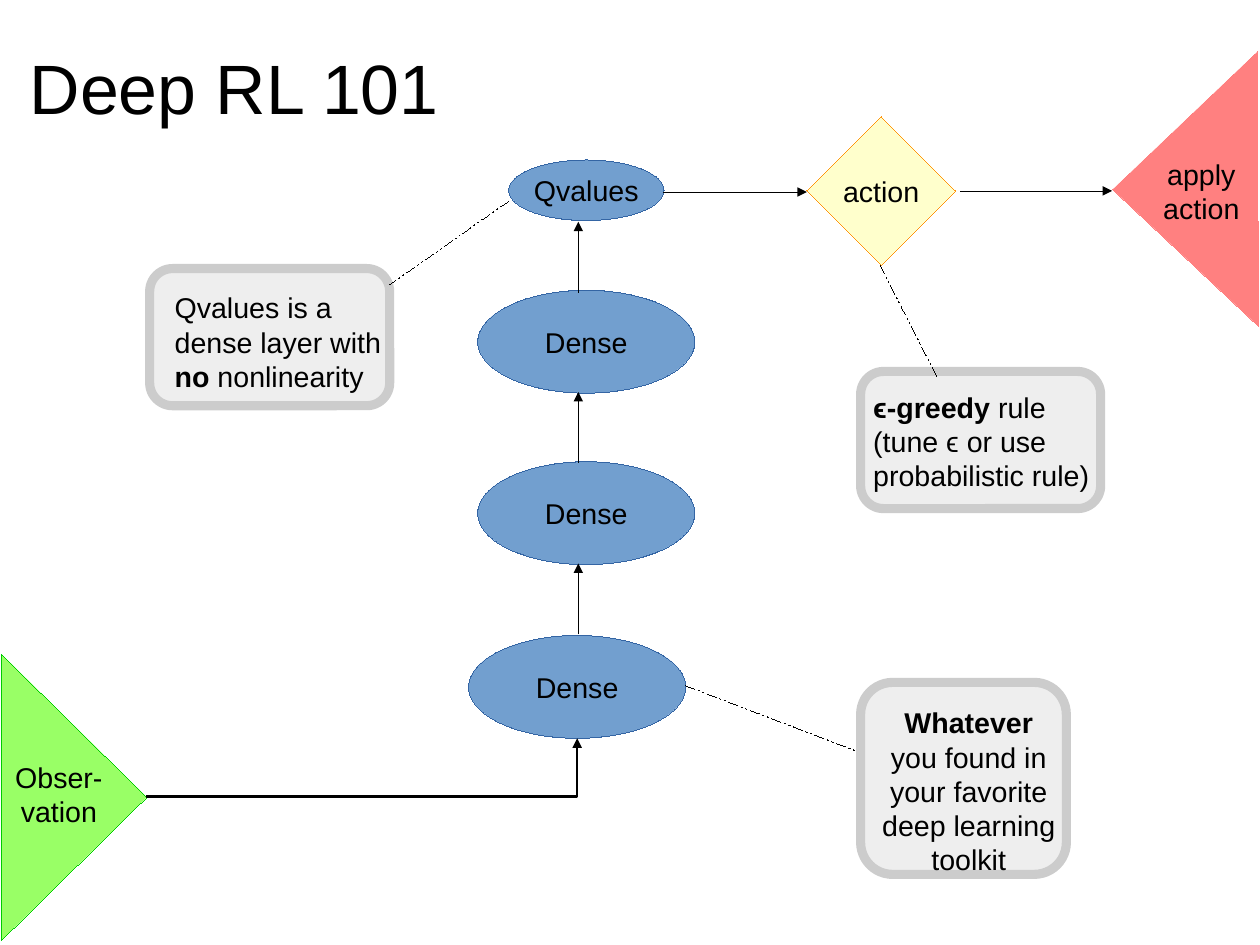
"""Build the Deep RL 101 slide: a network from observation to action."""
from lxml import etree
from pptx import Presentation
from pptx.dml.color import RGBColor
from pptx.enum.dml import MSO_LINE
from pptx.enum.shapes import MSO_CONNECTOR, MSO_SHAPE
from pptx.enum.text import MSO_ANCHOR, MSO_AUTO_SIZE, PP_ALIGN
from pptx.oxml.ns import qn
from pptx.util import Cm, Emu, Pt

PX = 9144
HAIRLINE = 0.01
FONT = "Arial"
BLACK = RGBColor(0x00, 0x00, 0x00)
BLUE, BLUE_EDGE = RGBColor(0x72, 0x9F, 0xCF), RGBColor(0x34, 0x65, 0xA4)
GREEN, GREEN_EDGE = RGBColor(0x99, 0xFF, 0x66), RGBColor(0x00, 0xCC, 0x00)
YELLOW, ORANGE = RGBColor(0xFF, 0xFF, 0xCC), RGBColor(0xFF, 0x95, 0x0E)
RED = RGBColor(0xFF, 0x80, 0x80)
PALE_GREY, GREY = RGBColor(0xEE, 0xEE, 0xEE), RGBColor(0xCC, 0xCC, 0xCC)

ELLIPSE, DIAMOND = MSO_SHAPE.OVAL, MSO_SHAPE.DIAMOND
TRIANGLE, ROUNDED = MSO_SHAPE.ISOSCELES_TRIANGLE, MSO_SHAPE.ROUNDED_RECTANGLE
STRAIGHT, ELBOW = MSO_CONNECTOR.STRAIGHT, MSO_CONNECTOR.ELBOW
DASH_DOT_DOT = MSO_LINE.DASH_DOT_DOT
LEFT, CENTER = PP_ALIGN.LEFT, PP_ALIGN.CENTER
TOP, MIDDLE = MSO_ANCHOR.TOP, MSO_ANCHOR.MIDDLE
NO_AUTOFIT = MSO_AUTO_SIZE.NONE


def px(*lengths):
    """Turn px lengths into EMU."""
    return [Emu(length * PX) for length in lengths]


def write(frame, paragraphs, align=LEFT, anchor=TOP, wrap=True, inset=(10, 5), size=18):
    """Fill a text frame with paragraphs of (text, bold) runs."""
    side, end = px(*inset)
    layout = {
        "word_wrap": wrap, "auto_size": NO_AUTOFIT, "vertical_anchor": anchor,
        "margin_left": side, "margin_right": side,
        "margin_top": end, "margin_bottom": end,
    }
    for name, value in layout.items():
        setattr(frame, name, value)
    for index, runs in enumerate(paragraphs):
        paragraph = frame.paragraphs[0] if index == 0 else frame.add_paragraph()
        paragraph.alignment = align
        for text, bold in runs:
            for number, line in enumerate(text.split("\n")):
                if number:
                    paragraph.add_line_break()
                if not line:
                    continue
                run = paragraph.add_run()
                run.text = line
                style = {"name": FONT, "size": Pt(size), "bold": bold}
                for name, value in style.items():
                    setattr(run.font, name, value)
                run.font.color.rgb = BLACK


def add_block(slide, kind, box, fill, edge, width=HAIRLINE, rotation=0):
    """Add a filled and outlined preset shape."""
    block = slide.shapes.add_shape(kind, *px(*box))
    block.shadow.inherit = False
    block.rotation = rotation
    block.fill.solid()
    block.fill.fore_color.rgb = fill
    block.line.color.rgb = edge
    block.line.width = Pt(width)
    return block


def add_node(slide, kind, box, label, fill=BLUE, edge=BLUE_EDGE):
    """Add a network node with its label in the middle."""
    node = add_block(slide, kind, box, fill, edge)
    write(node.text_frame, [[(label, False)]], CENTER, MIDDLE, wrap=False)


def add_label(slide, box, paragraphs, align=LEFT, inset=(16, 11)):
    """Add a text box."""
    label = slide.shapes.add_textbox(*px(*box))
    write(label.text_frame, paragraphs, align, inset=inset)


def add_note(slide, frame_box, text_box, paragraphs, **style):
    """Add a grey rounded frame with its text over it."""
    add_block(slide, ROUNDED, frame_box, PALE_GREY, GREY, 5.75)
    add_label(slide, text_box, paragraphs, **style)


def add_link(slide, ends, kind=STRAIGHT, width=HAIRLINE):
    """Add a plain black connector."""
    link = slide.shapes.add_connector(kind, *px(*ends))
    link.line.color.rgb = BLACK
    link.line.width = Pt(width)
    etree.SubElement(link._element.spPr, qn("a:effectLst"))
    return link


def add_arrow(slide, ends, kind=STRAIGHT, width=HAIRLINE):
    """Add a connector with an arrowhead, one bend if it is an elbow."""
    arrow = add_link(slide, ends, kind, width)
    properties = arrow._element.spPr
    etree.SubElement(properties.find(qn("a:ln")), qn("a:tailEnd"), type="triangle")
    if kind == ELBOW:
        properties.find(qn("a:prstGeom")).set("prst", "bentConnector2")


def add_title(slide, text):
    """Move and format the title placeholder."""
    title = slide.shapes.title
    title.left, title.top, title.width, title.height = px(10, 28, 400, 162)
    write(title.text_frame, [[(text, False)]], inset=(16, 11), size=44)


def add_network(slide):
    """Add the nodes and the arrows between them."""
    add_block(slide, TRIANGLE, (-60, 634, 250, 127), GREEN, GREEN_EDGE, rotation=90)
    add_block(slide, TRIANGLE, (917, 102, 240, 127), RED, RED, rotation=269.8)
    for left, top in ((410, 556), (418, 404), (418, 254)):
        add_node(slide, ELLIPSE, (left, top, 190, 90), "Dense")
    add_node(slide, ELLIPSE, (445, 140, 136, 53), "Qvalues")
    add_node(slide, DIAMOND, (706, 102, 130, 130), "action", YELLOW, ORANGE)
    for start in (555, 405, 256):
        add_arrow(slide, (506, start, 506, start - 62))
    add_arrow(slide, (580, 168, 706, 168))
    add_arrow(slide, (840, 167, 973, 167))
    add_arrow(slide, (128, 697, 505, 646), ELBOW, 1.45)
    add_label(slide, (972, 126, 158, 78), [[("apply", False)], [("action", False)]], CENTER)
    add_label(slide, (-8, 654, 119, 78), [[("Obser-", False)], [("vation", False)]], CENTER)


def add_notes(slide):
    """Add the three notes and their dashed leaders."""
    add_note(slide, (131, 235, 210, 120), (143, 249, 210, 94), [
        [("Qvalues is a dense layer with ", False), ("no ", True), ("nonlinearity", False)],
    ], inset=(10, 5))
    add_note(slide, (753, 325, 210, 120), (748, 330, 228, 106), [
        [("ϵ-greedy", True), (" rule", False)],
        [("(tune ϵ or use probabilistic rule)", False)],
    ])
    add_note(slide, (753, 597, 180, 168), (752, 606, 191, 162), [
        [("Whatever", True), ("\nyou found in\nyour favorite\ndeep learning", False)],
        [("toolkit", False)],
    ], align=CENTER)
    for ends in ((445, 176, 341, 249), (770, 232, 820, 330), (600, 600, 749, 657)):
        add_link(slide, ends).line.dash_style = DASH_DOT_DOT


def main():
    """Build and save the slide."""
    deck = Presentation()
    deck.slide_width, deck.slide_height = Cm(28), Cm(21)
    slide = deck.slides.add_slide(deck.slide_layouts[5])
    add_title(slide, "Deep RL 101")
    add_network(slide)
    add_notes(slide)
    deck.save("out.pptx")


if __name__ == "__main__":
    main()
